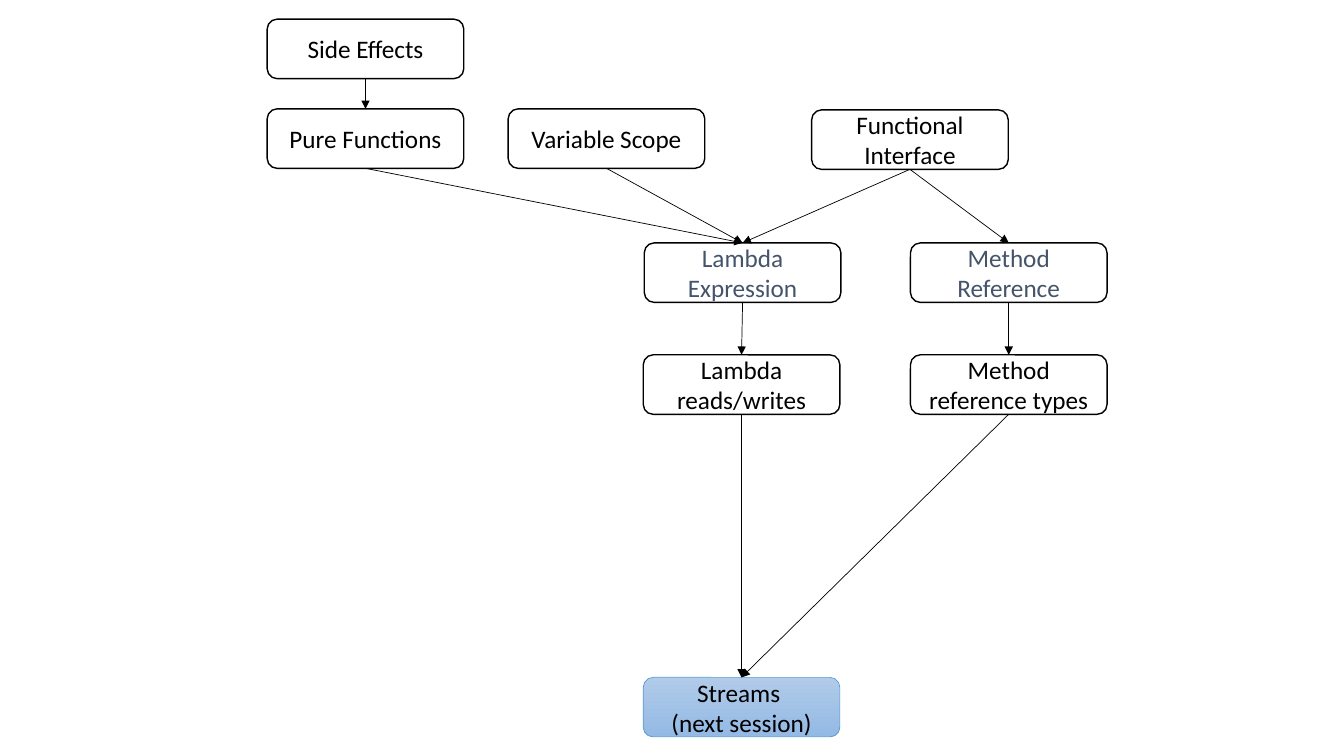
from lxml import etree
from pptx import Presentation
from pptx.dml.color import RGBColor
from pptx.enum.shapes import MSO_CONNECTOR, MSO_SHAPE
from pptx.enum.text import MSO_ANCHOR, PP_ALIGN
from pptx.oxml.ns import qn
from pptx.util import Inches, Pt

ROUNDED = MSO_SHAPE.ROUNDED_RECTANGLE
STRAIGHT = MSO_CONNECTOR.STRAIGHT
MIDDLE = MSO_ANCHOR.MIDDLE
CENTER = PP_ALIGN.CENTER
TOP, BOTTOM = 0, 2

COLORS = {
    "black": "000000",
    "white": "FFFFFF",
    "slate": "44546A",
    "blue": "5B9BD5",
    "blue_top": "B1CBE9",
    "blue_bottom": "93B9E4",
}

TOPICS = {
    "interface": (8.05, 1.09, "Functional Interface", "plain"),
    "method": (9.03, 2.41, "Method Reference", "key"),
    "lambda": (6.39, 2.41, "Lambda Expression", "key"),
    "effects": (2.65, 0.19, "Side Effects", "plain"),
    "scope": (5.04, 1.08, "Variable Scope", "plain"),
    "access": (6.38, 3.52, "Lambda reads/writes", "plain"),
    "pure": (2.65, 1.08, "Pure Functions", "plain"),
    "types": (9.03, 3.52, "Method reference types", "plain"),
    "streams": (6.38, 6.72, "Streams \n(next session)", "next"),
}

ARROWS = [
    ("scope", "lambda"),
    ("interface", "lambda"),
    ("method", "types"),
    ("interface", "method"),
    ("types", "streams"),
    ("access", "streams"),
    ("pure", "lambda"),
    ("lambda", "access"),
    ("effects", "pure"),
]


def rgb(name):
    """Return the named colour."""
    return RGBColor.from_string(COLORS[name])


class TopicMap:
    """Draws topic boxes and arrows on one slide in a shared style."""

    font, size = "Calibri", Pt(18)
    width, height = Inches(1.95), Inches(0.59)

    def __init__(self, slide):
        self.slide = slide

    def outline(self, sp, color, weight):
        """Set the line colour and its weight in points."""
        sp.line.color.rgb = rgb(color)
        sp.line.width = Pt(weight)

    def paint(self, sp, kind):
        """Fill and outline a box according to its kind."""
        if kind == "next":
            sp.fill.gradient()
            sp.fill.gradient_angle = 270
            for stop, name in zip(sp.fill.gradient_stops, ("blue_top", "blue_bottom")):
                stop.color.rgb = rgb(name)
            self.outline(sp, "blue", 0.5)
            return
        if kind == "key":
            sp.fill.solid()
            sp.fill.fore_color.rgb = rgb("white")
        else:
            sp.fill.background()
        self.outline(sp, "black", 1)

    def box(self, left, top, text, kind):
        """Add a rounded topic box with centred text."""
        sp = self.slide.shapes.add_shape(
            ROUNDED, Inches(left), Inches(top), self.width, self.height)
        sp.shadow.inherit = False
        self.paint(sp, kind)
        tf = sp.text_frame
        tf.word_wrap = True
        tf.vertical_anchor = MIDDLE
        tf.text = text
        for p in tf.paragraphs:
            p.alignment = CENTER
            p.font.name = self.font
            p.font.size = self.size
            p.font.color.rgb = rgb("slate" if kind == "key" else "black")
        return sp

    def arrow(self, start, end):
        """Join the bottom of one box to the top of another."""
        line = self.slide.shapes.add_connector(STRAIGHT, 0, 0, 0, 0)
        line.begin_connect(start, BOTTOM)
        line.end_connect(end, TOP)
        self.outline(line, "black", 0.5)
        etree.SubElement(line.line._get_or_add_ln(), qn("a:tailEnd"), type="triangle")
        etree.SubElement(line._element.spPr, qn("a:effectLst"))


def main():
    """Build the topic map and save it."""
    prs = Presentation()
    prs.slide_width, prs.slide_height = Inches(13.33), Inches(7.5)
    topic_map = TopicMap(prs.slides.add_slide(prs.slide_layouts[6]))
    boxes = {name: topic_map.box(*topic) for name, topic in TOPICS.items()}
    for start, end in ARROWS:
        topic_map.arrow(boxes[start], boxes[end])
    prs.save("out.pptx")


if __name__ == "__main__":
    main()
